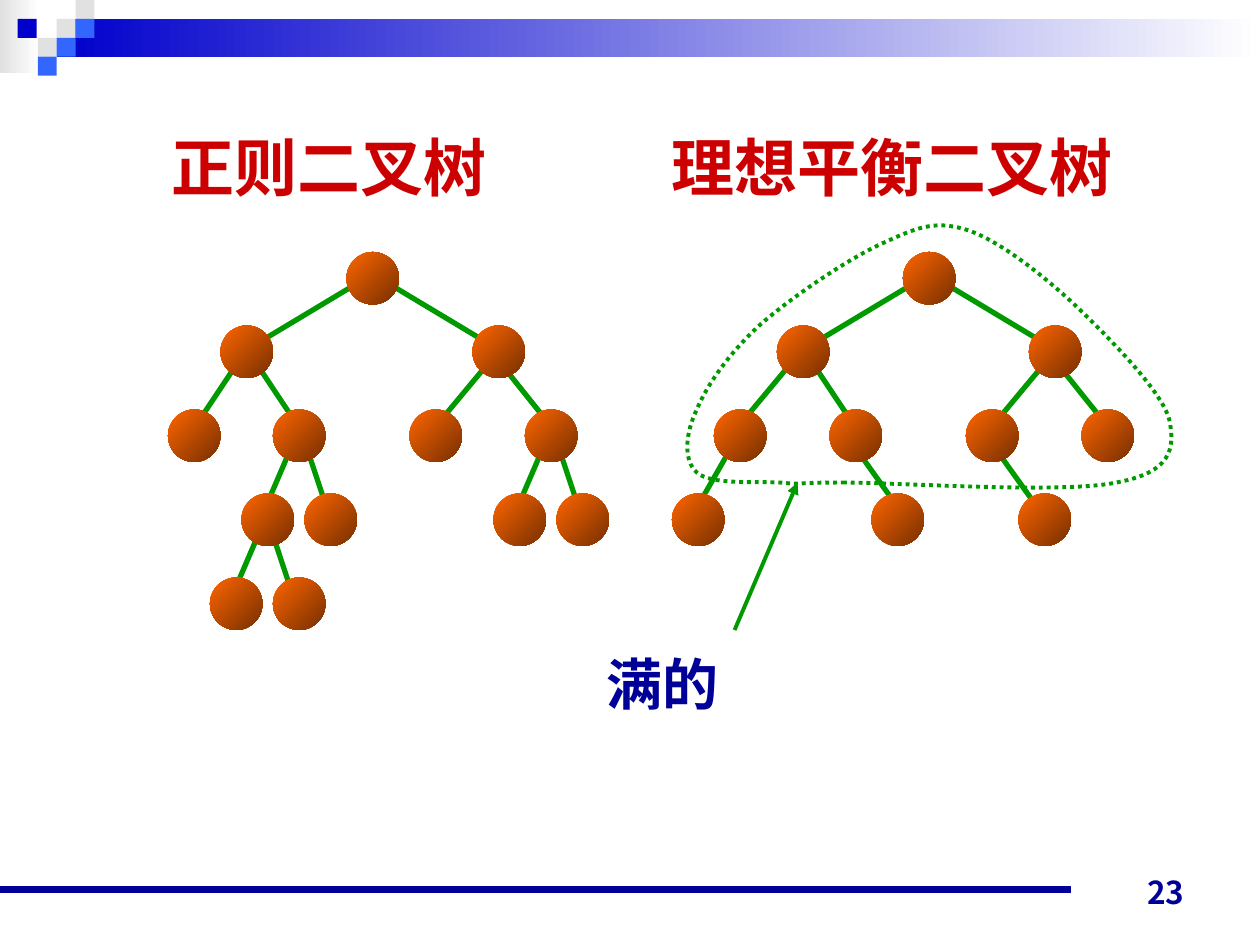
"""Build a slide comparing a regular and an ideally balanced binary tree."""
from dataclasses import dataclass
from typing import Optional

from lxml import etree
from pptx import Presentation
from pptx import util as u
from pptx.dml.color import RGBColor
from pptx.enum import dml, shapes, text
from pptx.oxml.ns import qn


@dataclass(frozen=True)
class Theme:
    navy: str = "000099"
    blue: str = "0000CC"
    sky: str = "3366FF"
    gray: str = "E1E1E1"
    white: str = "FFFFFF"
    red: str = "CC0000"
    green: str = "009900"
    orange: str = "FF6600"
    brown: str = "762F00"
    font: str = "Noto Sans CJK JP"
    serif: str = "Times New Roman"
    title_size: int = 36
    label_size: int = 32
    number_size: int = 18
    grid: float = 1 / 12
    node_cells: int = 5
    tile: float = 0.15


@dataclass(frozen=True)
class Node:
    left: int
    branch: Optional[tuple[int, int, int, int]] = None


@dataclass(frozen=True)
class Level:
    top: int
    nodes: tuple[Node, ...]


@dataclass(frozen=True)
class Tile:
    left: float
    top: float
    color: str


THEME = Theme()

TILES = (
    Tile(0.45, 0.15, THEME.gray), Tile(0.6, 0, THEME.gray), Tile(0.6, 0.15, THEME.sky),
    Tile(0.3, 0.3, THEME.gray), Tile(0.14, 0.15, THEME.blue), Tile(0.45, 0.3, THEME.sky),
    Tile(0.3, 0.45, THEME.sky),
)

REGULAR_TREE = (
    Level(24, (Node(33),)),
    Level(31, (Node(21, (34, 27, 24, 33)), Node(45, (37, 27, 47, 33)))),
    Level(39, (Node(16, (23, 34, 19, 40)), Node(26, (24, 34, 28, 40)),
               Node(39, (47, 34, 42, 40)), Node(50, (48, 35, 52, 40)))),
    Level(47, (Node(23, (28, 42, 25, 49)), Node(29, (29, 42, 31, 48)),
               Node(47, (52, 42, 49, 49)), Node(53, (53, 42, 55, 48)))),
    Level(55, (Node(20, (25, 50, 22, 57)), Node(26, (26, 51, 28, 57)))),
)

BALANCED_TREE = (
    Level(24, (Node(86),)),
    Level(31, (Node(74, (87, 27, 77, 33)), Node(98, (90, 27, 100, 33)))),
    Level(39, (Node(68, (75, 35, 70, 41)), Node(79, (77, 34, 81, 40)),
               Node(92, (100, 34, 95, 40)), Node(103, (101, 35, 105, 40)))),
    Level(47, (Node(64, (70, 42, 66, 49)), Node(83, (81, 42, 86, 49)),
               Node(97, (95, 43, 100, 50)))),
)

FULL_PART_START = (6.69, 3.83)
FULL_PART_CURVES = (
    (7.14, 3.83), (8.43, 3.92), (8.86, 3.83),
    (9.29, 3.75), (9.33, 3.57), (9.28, 3.33),
    (9.22, 3.1), (8.79, 2.67), (8.53, 2.42),
    (8.26, 2.17), (7.94, 1.92), (7.69, 1.83),
    (7.44, 1.75), (7.31, 1.79), (7.03, 1.92),
    (6.75, 2.04), (6.28, 2.36), (6.03, 2.58),
    (5.78, 2.81), (5.61, 3.06), (5.53, 3.25),
    (5.44, 3.44), (5.42, 3.65), (5.53, 3.75),
    (5.64, 3.85), (5.99, 3.82), (6.19, 3.83),
    (6.4, 3.85), (6.25, 3.83), FULL_PART_START,
)


def add_filled(slide, kind, left: float, top: float, width: float, height: float,
               colors: tuple[str, ...], angle: float = 0):
    """Add a borderless shape with a solid fill or a two-colour gradient."""
    shape = slide.shapes.add_shape(
        kind, u.Inches(left), u.Inches(top), u.Inches(width), u.Inches(height))
    shape.shadow.inherit = False
    shape.line.fill.background()
    if len(colors) == 1:
        shape.fill.solid()
        shape.fill.fore_color.rgb = RGBColor.from_string(colors[0])
    else:
        shape.fill.gradient()
        shape.fill.gradient_angle = angle
        for stop, color in zip(shape.fill.gradient_stops, colors):
            stop.color.rgb = RGBColor.from_string(color)
    return shape


def add_line(slide, start: tuple[float, float], end: tuple[float, float],
             color: str, width: float, arrow: bool = False):
    """Add a straight line, with an arrowhead at its end if asked."""
    connector = slide.shapes.add_connector(
        shapes.MSO_CONNECTOR.STRAIGHT, *(u.Inches(value) for value in (*start, *end)))
    connector.line.color.rgb = RGBColor.from_string(color)
    connector.line.width = u.Pt(width)
    if arrow:
        etree.SubElement(connector.line._get_or_add_ln(), qn("a:tailEnd"), type="triangle")
    etree.SubElement(connector._element.spPr, qn("a:effectLst"))
    return connector


def add_text(slide, content: str, left: float, top: float, width: float, height: float, *,
             size: int, color: str, font: str = THEME.font, align=text.PP_ALIGN.LEFT,
             anchor=text.MSO_ANCHOR.TOP, wrap: bool = True,
             spacing: Optional[float] = None, tab: Optional[float] = None):
    """Add a text box holding one bold paragraph."""
    box = slide.shapes.add_textbox(
        u.Inches(left), u.Inches(top), u.Inches(width), u.Inches(height))
    frame = box.text_frame
    frame.word_wrap = wrap
    frame.vertical_anchor = anchor
    paragraph = frame.paragraphs[0]
    paragraph.alignment = align
    if spacing:
        paragraph.line_spacing = spacing
    if tab:
        tabs = etree.SubElement(paragraph._p.get_or_add_pPr(), qn("a:tabLst"))
        etree.SubElement(tabs, qn("a:tab"), pos=str(u.Inches(tab)), algn="l")
    run = paragraph.add_run()
    run.text = content
    run.font.size = u.Pt(size)
    run.font.bold = True
    run.font.color.rgb = RGBColor.from_string(color)
    run.font.name = font
    etree.SubElement(run._r.get_or_add_rPr(), qn("a:ea"), typeface=THEME.font)
    return box


def add_tree(slide, levels: tuple[Level, ...]) -> None:
    """Draw the branches of a tree, then its nodes over them."""
    for level in levels:
        for node in level.nodes:
            if node.branch:
                x1, y1, x2, y2 = (cell * THEME.grid for cell in node.branch)
                add_line(slide, (x1, y1), (x2, y2), THEME.green, 3)
    diameter = THEME.node_cells * THEME.grid
    for level in levels:
        for node in level.nodes:
            add_filled(slide, shapes.MSO_SHAPE.OVAL, node.left * THEME.grid,
                       level.top * THEME.grid, diameter, diameter,
                       (THEME.orange, THEME.brown), angle=315)


def add_closed_curve(slide, start: tuple[float, float],
                     points: tuple[tuple[float, float], ...]):
    """Add a dotted outline whose points form cubic curves in threes."""
    builder = slide.shapes.build_freeform(
        u.Inches(start[0]), u.Inches(start[1]), scale=1.0)
    builder.add_line_segments([(u.Inches(x), u.Inches(y)) for x, y in points], close=True)
    shape = builder.convert_to_shape()
    segments = list(shape._element.iter(qn("a:lnTo")))
    for first in range(0, len(segments), 3):
        curve = etree.Element(qn("a:cubicBezTo"))
        segments[first].addprevious(curve)
        for segment in segments[first:first + 3]:
            curve.append(segment[0])
            segment.getparent().remove(segment)
    shape.shadow.inherit = False
    shape.fill.background()
    shape.line.color.rgb = RGBColor.from_string(THEME.green)
    shape.line.width = u.Pt(2.25)
    shape.line.dash_style = dml.MSO_LINE.ROUND_DOT
    return shape


def add_frame(slide) -> None:
    """Draw the header ribbon, its tiles, the footer rule and the page number."""
    rectangle = shapes.MSO_SHAPE.RECTANGLE
    add_filled(slide, rectangle, 0, 0, 0.31, 0.58, (THEME.gray, THEME.white))
    add_filled(slide, rectangle, 0.45, 0.15, 9.55, 0.3, (THEME.blue, THEME.white))
    for tile in TILES:
        add_filled(slide, rectangle, tile.left, tile.top, THEME.tile, THEME.tile, (tile.color,))
    add_line(slide, (0, 7.06), (8.5, 7.06), THEME.navy, 4.5)
    add_text(slide, "23", 7.17, 6.78, 2.33, 0.5, size=THEME.number_size, color=THEME.navy,
             align=text.PP_ALIGN.RIGHT, anchor=text.MSO_ANCHOR.BOTTOM)


def main() -> None:
    """Build and save the slide."""
    presentation = Presentation()
    presentation.slide_width, presentation.slide_height = u.Inches(10), u.Inches(7.5)
    slide = presentation.slides.add_slide(presentation.slide_layouts[6])
    add_frame(slide)
    add_text(slide, "正则二叉树\t理想平衡二叉树", 1.26, 0.88, 8.08, 0.79,
             size=THEME.title_size, color=THEME.red, spacing=1.15, tab=3.97)
    for tree in (REGULAR_TREE, BALANCED_TREE):
        add_tree(slide, tree)
    add_closed_curve(slide, FULL_PART_START, FULL_PART_CURVES)
    add_line(slide, (5.83, 5), (6.33, 3.83), THEME.green, 2.25, arrow=True)
    add_text(slide, "满的", 4.71, 5.1, 1.09, 0.64, size=THEME.label_size, color=THEME.navy,
             font=THEME.serif, align=text.PP_ALIGN.CENTER,
             anchor=text.MSO_ANCHOR.MIDDLE, wrap=False)
    presentation.save("out.pptx")


if __name__ == "__main__":
    main()
